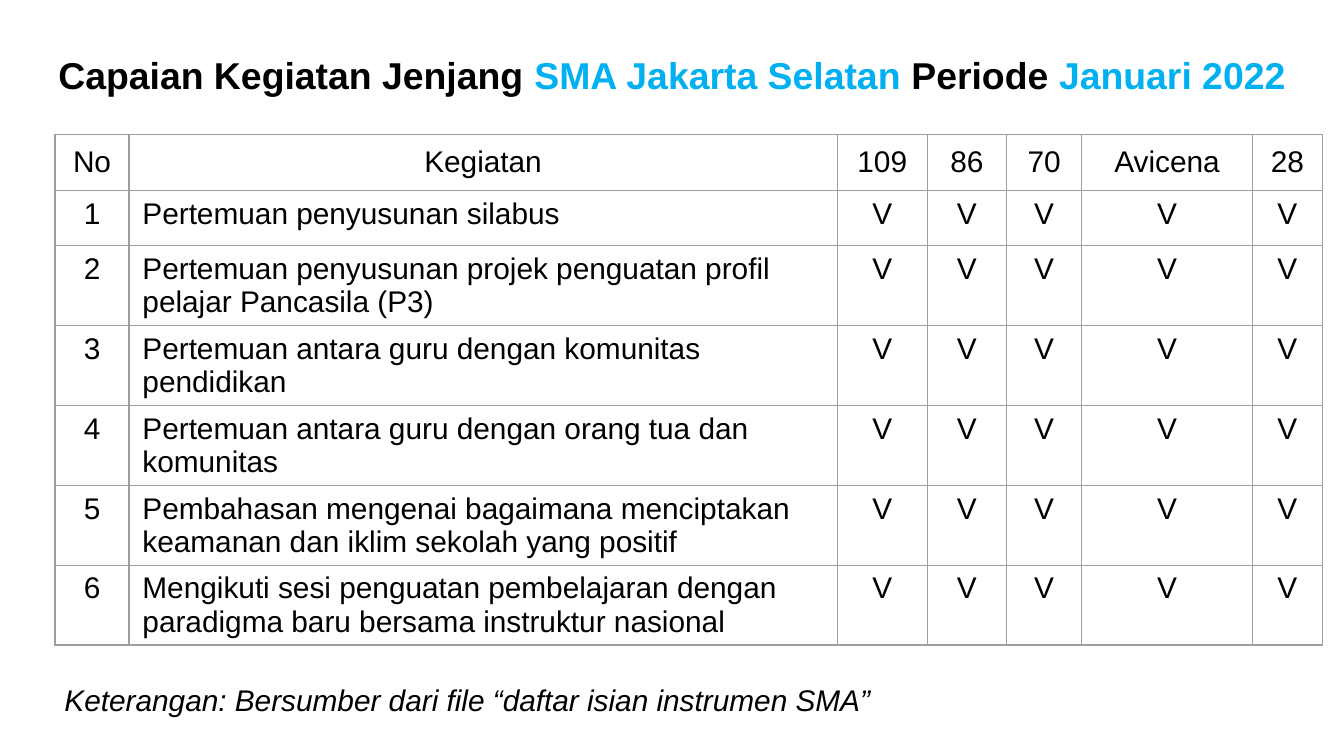
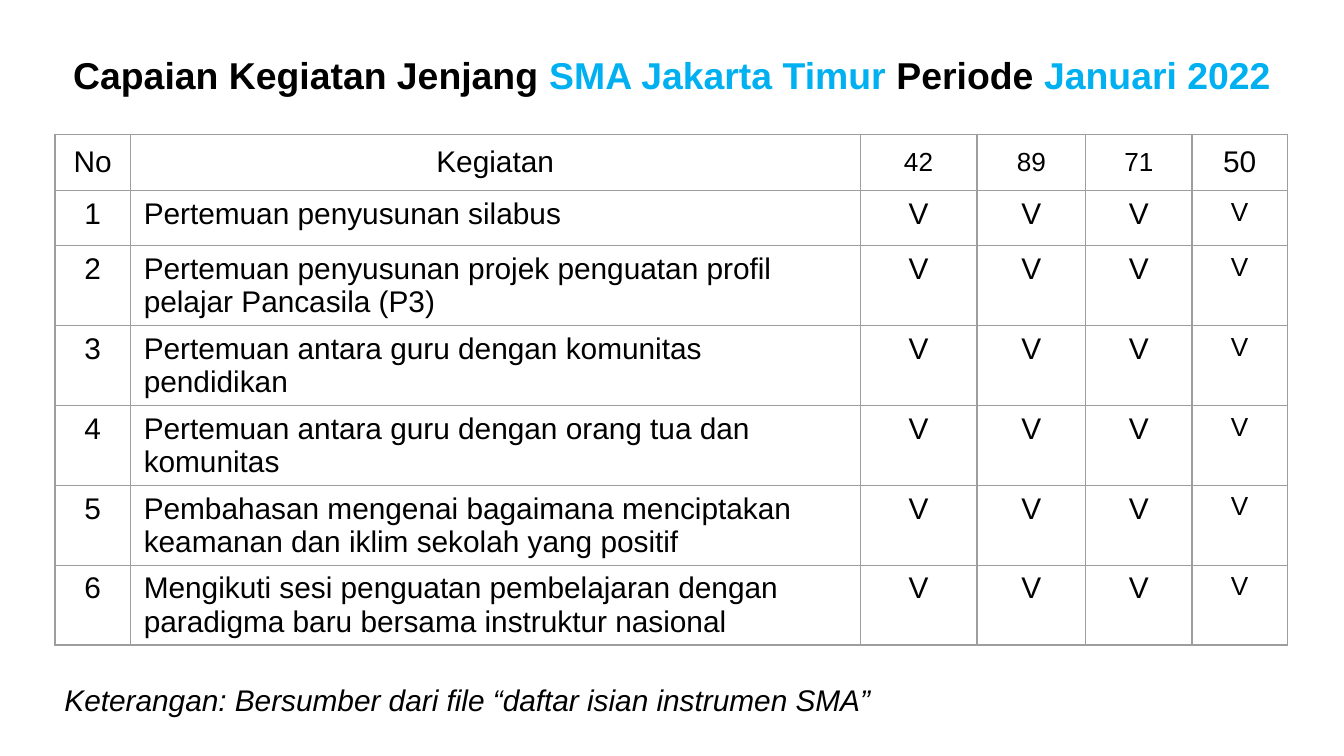
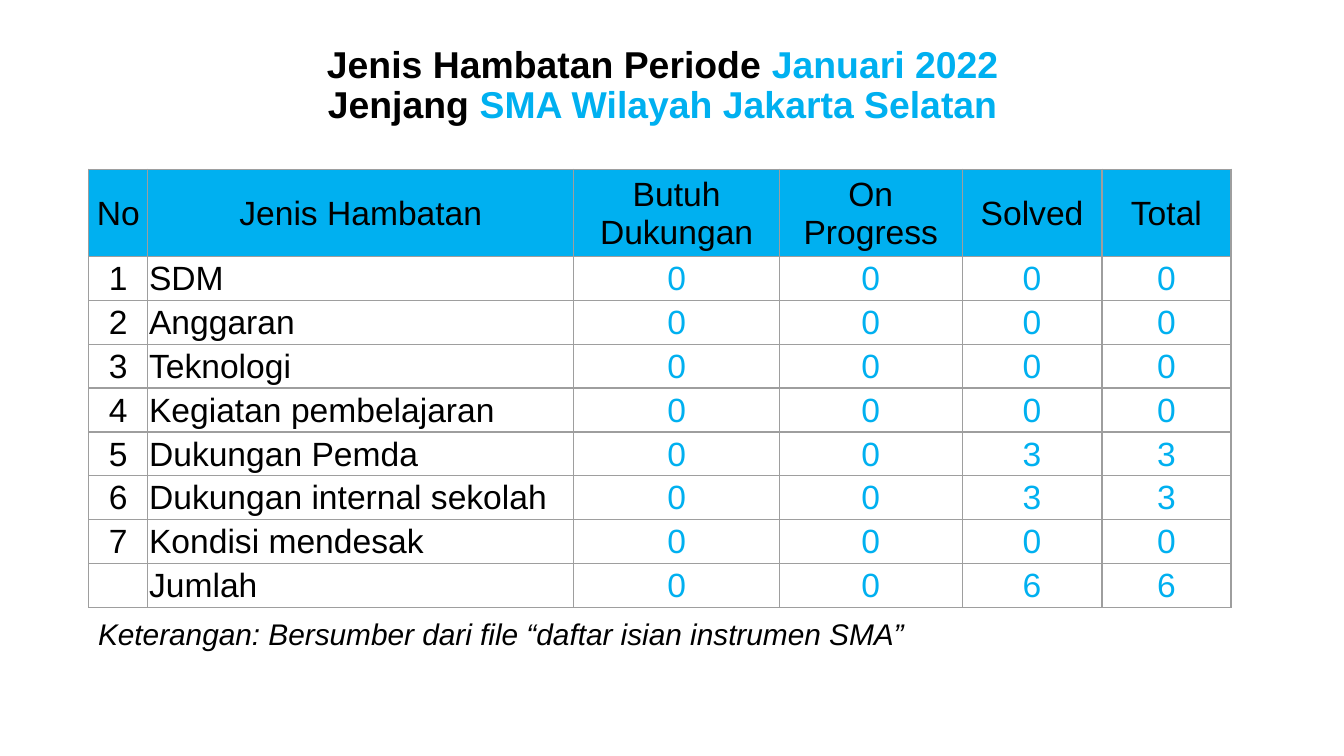
"""Build three slides reporting school activities and obstacles for January 2022."""
from lxml.etree import SubElement
from pptx import Presentation
from pptx.dml.color import RGBColor as Rgb
from pptx.enum.text import MSO_ANCHOR as Anchor, MSO_AUTO_SIZE as AutoSize, PP_ALIGN as Align
from pptx.oxml.ns import qn
from pptx.util import Inches, Pt

COLORS = {"text": "000000", "accent": "00B0F0", "border": "9E9E9E"}
FONT = "Arial"
SOURCE_NOTE = "Keterangan: Bersumber dari file “daftar isian instrumen SMA”"
ACTIVITIES = [
    "Pertemuan penyusunan silabus",
    "Pertemuan penyusunan projek penguatan profil pelajar Pancasila (P3)",
    "Pertemuan antara guru dengan komunitas pendidikan",
    "Pertemuan antara guru dengan orang tua dan komunitas",
    "Pembahasan mengenai bagaimana menciptakan keamanan dan iklim sekolah yang positif",
    "Mengikuti sesi penguatan pembelajaran dengan paradigma baru bersama instruktur nasional",
]
OBSTACLES = [
    ("SDM", 0, 0, 0, 0),
    ("Anggaran", 0, 0, 0, 0),
    ("Teknologi", 0, 0, 0, 0),
    ("Kegiatan pembelajaran", 0, 0, 0, 0),
    ("Dukungan Pemda", 0, 0, 3, 3),
    ("Dukungan internal sekolah", 0, 0, 3, 3),
    ("Kondisi mendesak", 0, 0, 0, 0),
]


def add_run(paragraph, text, size, color="text", bold=False, italic=False):
    run = paragraph.add_run()
    run.text = text
    font = run.font
    font.name, font.size, font.bold, font.italic = FONT, Pt(size), bold, italic
    font.color.rgb = Rgb.from_string(COLORS[color])


def set_margins(target, left, top, right, bottom):
    target.margin_left, target.margin_top = Inches(left), Inches(top)
    target.margin_right, target.margin_bottom = Inches(right), Inches(bottom)


def format_frame(frame, alignment):
    frame.word_wrap = True
    frame.auto_size = AutoSize.NONE
    frame.vertical_anchor = Anchor.MIDDLE
    set_margins(frame, 0.07, 0.04, 0.07, 0.04)
    paragraph = frame.paragraphs[0]
    paragraph.alignment = alignment
    paragraph.line_spacing = 0.9
    return paragraph


def add_titled_slide(presentation, lines, box):
    """Add a title whose parts alternate between text and accent colours."""
    slide = presentation.slides.add_slide(presentation.slide_layouts[5])
    title = slide.shapes.title
    title.left, title.top, title.width, title.height = map(Inches, box)
    paragraph = format_frame(title.text_frame, Align.CENTER)
    for line_number, parts in enumerate(lines):
        if line_number:
            paragraph.add_line_break()
        for index, part in enumerate(parts):
            add_run(paragraph, part, 20, "accent" if index % 2 else "text", bold=True)
    return slide


def add_source_note(slide, left, top):
    box = slide.shapes.add_textbox(Inches(left), Inches(top), Inches(9.17), Inches(0.44))
    paragraph = format_frame(box.text_frame, Align.LEFT)
    add_run(paragraph, SOURCE_NOTE, 16, italic=True)


def set_borders(cell):
    properties = cell._tc.get_or_add_tcPr()
    for side in ("lnL", "lnR", "lnT", "lnB"):
        line = SubElement(properties, qn(f"a:{side}"), w=str(Pt(0.75)))
        fill = SubElement(line, qn("a:solidFill"))
        SubElement(fill, qn("a:srgbClr"), val=COLORS["border"])


def add_grid(slide, box, widths, heights, rows):
    """Add a plain bordered table and return its cells with row, column and value."""
    shape = slide.shapes.add_table(len(rows), len(widths), *map(Inches, box))
    table = shape.table
    table.first_row = table.horz_banding = False
    for column, width in zip(table.columns, widths):
        column.width = Inches(width)
    for row, height in zip(table.rows, heights):
        row.height = Inches(height)
    shape.width, shape.height = map(Inches, box[2:])
    cells = []
    for row_index, values in enumerate(rows):
        for column_index, value in enumerate(values):
            cell = table.cell(row_index, column_index)
            set_borders(cell)
            cell.fill.background()
            cells.append((cell, row_index, column_index, str(value)))
    return cells


def write_cell(cell, text, size, color, centered):
    paragraph = cell.text_frame.paragraphs[0]
    paragraph.alignment = Align.CENTER if centered else Align.LEFT
    if text:
        add_run(paragraph, text, size, color)


def add_activity_slide(presentation, region, schools, table_width, widths, small_cells=()):
    """Add the checklist of activities for the schools of one region."""
    title = ["Capaian Kegiatan Jenjang ", f"SMA {region} ", "Periode ", "Januari 2022"]
    slide = add_titled_slide(presentation, [title], (0, 0.03, 10, 1.09))
    rows = [["No", "Kegiatan", *schools]]
    rows += [[number, activity] + ["V"] * len(schools)
             for number, activity in enumerate(ACTIVITIES, 1)]
    heights = [0.42] + [0.41] * len(ACTIVITIES)
    box = (0.41, 1, table_width, 3.99)
    for cell, row, column, text in add_grid(slide, box, widths, heights, rows):
        cell.vertical_anchor = Anchor.TOP if row else Anchor.MIDDLE
        size = 14 if (row > 0, column) in small_cells else 16
        write_cell(cell, text, size, "text", row == 0 or column != 1)
    add_source_note(slide, 0.41, 5)


def add_obstacle_slide(presentation):
    """Add the obstacle counts by status, with their sums."""
    lines = [["Jenis Hambatan Periode ", "Januari 2022 "],
             ["Jenjang ", "SMA Wilayah Jakarta Selatan "]]
    slide = add_titled_slide(presentation, lines, (0.66, 0.19, 8.62, 0.91))
    rows = [["No", "Jenis Hambatan", "Butuh Dukungan", "On Progress", "Solved", "Total"]]
    rows += [[number, *obstacle] for number, obstacle in enumerate(OBSTACLES, 1)]
    rows.append(["", "Jumlah"] + [sum(counts) for counts in list(zip(*OBSTACLES))[1:]])
    widths = [0.44, 3.17, 1.53, 1.36, 1.04, 0.96]
    box = (0.66, 1.26, 8.5, 3.26)
    header_height = 0.65
    body_rows = len(rows) - 1
    heights = [header_height] + [(box[3] - header_height) / body_rows] * body_rows
    for cell, row, column, text in add_grid(slide, box, widths, heights, rows):
        cell.vertical_anchor = Anchor.MIDDLE
        set_margins(cell, 0.01, 0.01, 0.01, 0)
        if row == 0:
            cell.fill.solid()
            cell.fill.fore_color.rgb = Rgb.from_string(COLORS["accent"])
        color = "accent" if row and column > 1 else "text"
        write_cell(cell, text, 18, color, row == 0 or column != 1)
    add_source_note(slide, 0.66, 4.51)


def main():
    presentation = Presentation()
    presentation.slide_width = Inches(10)
    presentation.slide_height = presentation.slide_width * 9 // 16
    add_activity_slide(presentation, "Jakarta Selatan", ["109", "86", "70", "Avicena", "28"],
                       9.42, [0.55, 5.27, 0.67, 0.59, 0.56, 1.27, 0.52])
    add_activity_slide(presentation, "Jakarta Timur", ["42", "89", "71", "50"],
                       9.17, [0.56, 5.43, 0.87, 0.81, 0.79, 0.71],
                       {(False, 2), (False, 3), (False, 4), (True, 5)})
    add_obstacle_slide(presentation)
    presentation.save("out.pptx")


if __name__ == "__main__":
    main()
